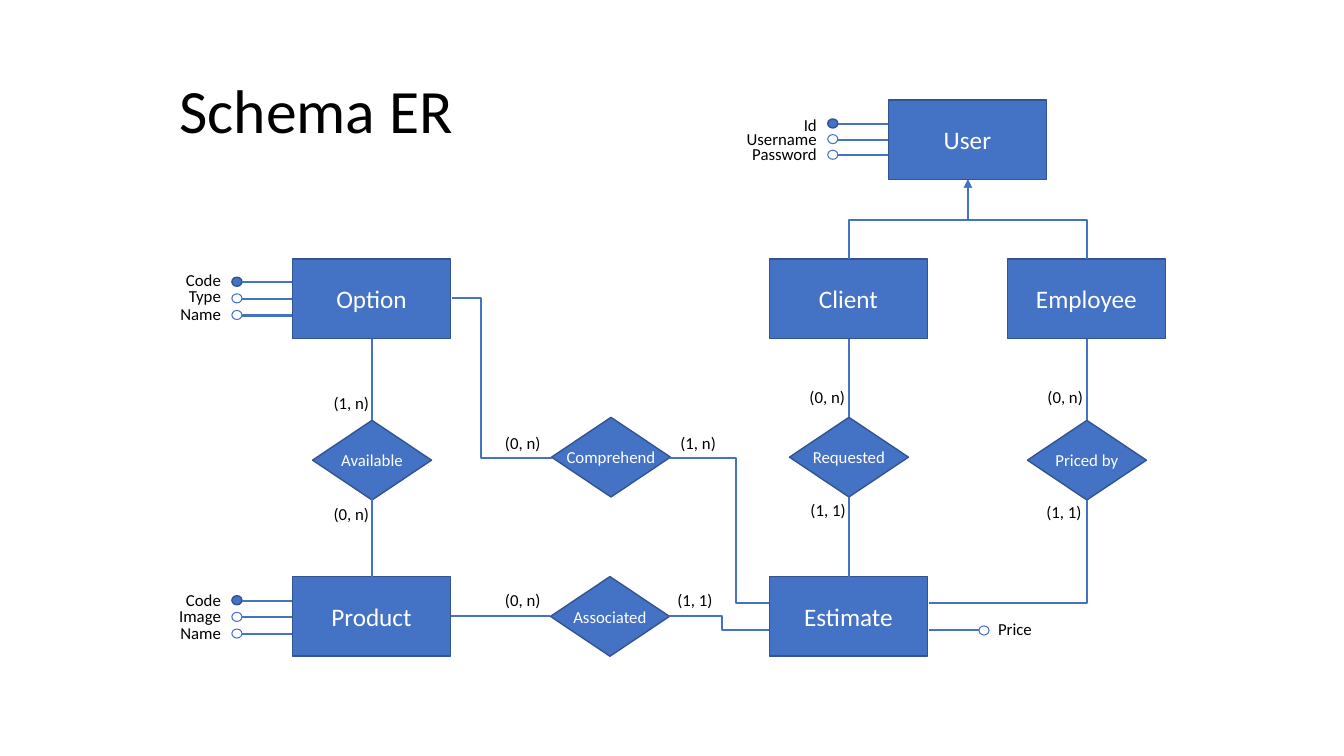
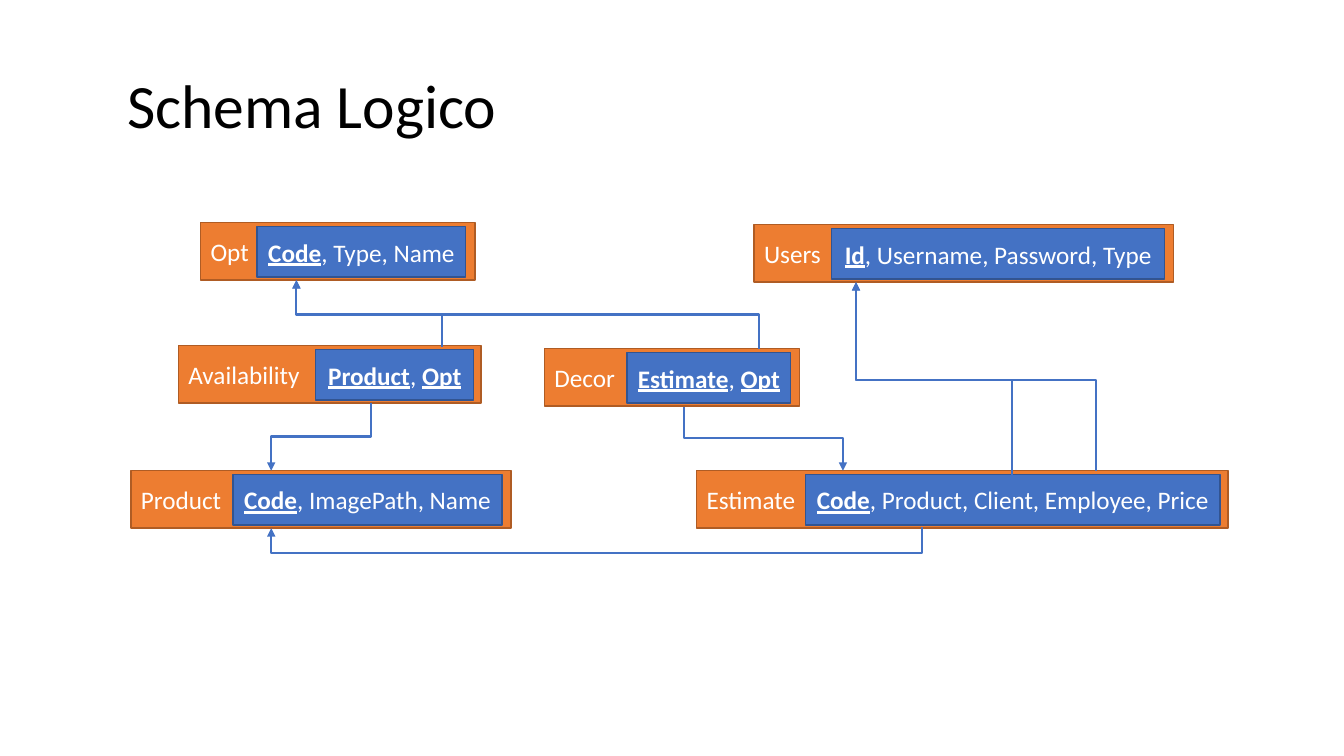
from lxml.etree import SubElement
from pptx import Presentation
from pptx.dml.color import RGBColor
from pptx.enum.shapes import MSO_CONNECTOR, MSO_SHAPE
from pptx.enum.text import MSO_ANCHOR, PP_ALIGN
from pptx.oxml.ns import qn
from pptx.util import Inches, Pt

COLOURS = {
    "blue": "4472C4",
    "blue edge": "325491",
    "orange": "ED7D31",
    "orange edge": "AF5C24",
    "white": "FFFFFF",
    "black": "000000",
}
FONT = "Calibri"


def add_box(page, preset, bounds, runs=(), fill="blue", edge="blue edge",
            edge_width=1, size=18, align=PP_ALIGN.CENTER):
    """Add a filled shape, or a plain text box if preset is None; runs are (text, is_key) pairs."""
    place = [Inches(length) for length in bounds]
    if preset is None:
        box = page.shapes.add_textbox(*place)
    else:
        box = page.shapes.add_shape(preset, *place)
        box.shadow.inherit = False
        box.fill.solid()
        box.fill.fore_color.rgb = RGBColor.from_string(COLOURS[fill])
        box.line.color.rgb = RGBColor.from_string(COLOURS[edge])
        box.line.width = Pt(edge_width)
    frame = box.text_frame
    frame.word_wrap = preset != MSO_SHAPE.DIAMOND
    frame.vertical_anchor = MSO_ANCHOR.TOP if preset is None else MSO_ANCHOR.MIDDLE
    if preset == MSO_SHAPE.DIAMOND:
        frame.margin_left = frame.margin_right = 0
    para = frame.paragraphs[0]
    para.alignment = align
    for text, is_key in runs:
        span = para.add_run()
        span.text = text
        span.font.name = FONT
        span.font.size = Pt(size)
        span.font.bold = span.font.underline = is_key
        text_colour = "black" if preset is None else "white"
        span.font.color.rgb = RGBColor.from_string(COLOURS[text_colour])


def connect(page, start, end, axis=None, middle=None, arrow=False):
    """Join two points: straight, or bent along axis x or y with its middle leg at that coordinate."""
    (left, top), (right, bottom) = start, end
    kind = MSO_CONNECTOR.ELBOW if axis else MSO_CONNECTOR.STRAIGHT
    across, down = right - left, bottom - top
    turn = 1 if across * down < 0 else -1
    if axis == "y":
        centre_x, centre_y = (left + right) / 2, (top + bottom) / 2
        half_x, half_y = turn * down / 2, turn * across / 2
        left, right = centre_x - half_x, centre_x + half_x
        top, bottom = centre_y + half_y, centre_y - half_y
    line = page.shapes.add_connector(
        kind, Inches(left), Inches(top), Inches(right), Inches(bottom))
    line.line.color.rgb = RGBColor.from_string(COLOURS["blue"])
    line.line.width = Pt(1.5)
    properties = line._element.spPr
    if axis == "y":
        properties.find(qn("a:xfrm")).set("rot", str(5400000 if turn == 1 else 16200000))
    geometry = properties.find(qn("a:prstGeom"))
    if axis and middle is None:
        geometry.set("prst", "bentConnector2")
    elif axis:
        share = (middle - start[0]) / across if axis == "x" else (middle - start[1]) / down
        SubElement(geometry.find(qn("a:avLst")), qn("a:gd"),
                   name="adj1", fmla=f"val {round(share * 100000)}")
    if arrow:
        SubElement(properties.find(qn("a:ln")), qn("a:tailEnd"), type="triangle")
    SubElement(properties, qn("a:effectLst"))


deck = Presentation()
deck.slide_width, deck.slide_height = Inches(13.33), Inches(7.5)
pages = []
for title_text, bounds in [
    ("Schema ER", (1.68, 0.4, 5.25, 1.45)),
    ("Schema Logico", (1.16, 0.35, 11.5, 1.45)),
]:
    page = deck.slides.add_slide(deck.slide_layouts[5])
    title = page.shapes.title
    title.left, title.top, title.width, title.height = [Inches(length) for length in bounds]
    title.text_frame.vertical_anchor = MSO_ANCHOR.MIDDLE
    para = title.text_frame.paragraphs[0]
    para.alignment = PP_ALIGN.LEFT
    para.line_spacing = 0.9
    span = para.add_run()
    span.text = title_text
    span.font.name = FONT
    span.font.size = Pt(44)
    span.font.color.rgb = RGBColor.from_string(COLOURS["black"])
    pages.append(page)
er_page, logical_page = pages

# Entities and relationships
for name, left, top in [
    ("Employee", 9.99, 2.57), ("Client", 7.63, 2.57), ("User", 8.81, 0.99),
    ("Product", 2.9, 5.72), ("Option", 2.9, 2.57), ("Estimate", 7.63, 5.72),
]:
    add_box(er_page, MSO_SHAPE.RECTANGLE, (left, top, 1.57, 0.79), [(name, False)])

for name, left, top in [
    ("Available", 3.1, 4.17), ("Comprehend", 5.47, 4.14), ("Requested", 7.83, 4.14),
    ("Priced by", 10.19, 4.17), ("Associated", 5.46, 5.72),
]:
    add_box(er_page, MSO_SHAPE.DIAMOND, (left, top, 1.18, 0.79), [(name, False)], size=12)

for start, end in [
    ((3.69, 3.36), (3.69, 4.17)), ((3.69, 4.95), (3.69, 5.72)),
    ((4.47, 6.11), (5.46, 6.11)), ((8.42, 3.36), (8.42, 4.14)),
    ((8.42, 4.93), (8.42, 5.72)), ((10.78, 3.36), (10.78, 4.17)),
]:
    connect(er_page, start, end)

for start, end, middle in [
    ((4.48, 2.96), (5.47, 4.54), 4.77),
    ((6.65, 4.54), (7.63, 5.98), 7.3),
    ((6.64, 6.11), (7.63, 6.25), 7.16),
]:
    connect(er_page, start, end, "x", middle)
connect(er_page, (10.78, 4.96), (9.21, 5.98), "y")
for child_x in (8.42, 10.78):
    connect(er_page, (child_x, 2.57), (9.6, 1.78), "y", 2.18, arrow=True)

# Attributes: the first of each entity is its key, drawn as a solid dot
for names, entity_x, first_y, step, label_tops in [
    (("Id", "Username", "Password"), 8.81, 1.23, 0.155, (1.09, 1.23, 1.38)),
    (("Code", "Type", "Name"), 2.9, 2.8, 0.165, (2.63, 2.79, 2.96)),
    (("Code", "Image", "Name"), 2.9, 5.96, 0.165, (5.8, 5.96, 6.13)),
]:
    for index, (name, label_top) in enumerate(zip(names, label_tops)):
        y = first_y + index * step
        is_key = index == 0
        add_box(er_page, MSO_SHAPE.OVAL, (entity_x - 0.6, y - 0.05, 0.1, 0.09),
                fill="blue" if is_key else "white",
                edge="blue edge" if is_key else "blue",
                edge_width=1 if is_key else 0.75)
        connect(er_page, (entity_x - 0.5, y), (entity_x, y))
        add_box(er_page, None, (entity_x - 1.61, label_top, 1, 0.3), [(name, False)],
                size=12, align=PP_ALIGN.RIGHT)
add_box(er_page, MSO_SHAPE.OVAL, (9.71, 6.21, 0.1, 0.09), fill="white",
        edge="blue", edge_width=0.75)
connect(er_page, (9.21, 6.25), (9.71, 6.25))

for text, left, top in [
    ("Price", 9.8, 6.09),
    ("(0, n)", 7.93, 3.79), ("(0, n)", 10.29, 3.79), ("(0, n)", 4.91, 4.24),
    ("(0, n)", 4.91, 5.8), ("(0, n)", 3.21, 4.95), ("(1, n)", 3.21, 3.85),
    ("(1, n)", 6.65, 4.24), ("(1, 1)", 6.62, 5.8), ("(1, 1)", 7.94, 4.91),
    ("(1, 1)", 10.28, 4.93),
]:
    add_box(er_page, None, (left, top, 0.65, 0.3), [(text, False)],
            size=12, align=PP_ALIGN.LEFT)

# Tables of the logical schema: an orange name bar with its blue field list
for name, left, top, width, fields_left, fields_width, fields in [
    ("Opt", 1.99, 2.21, 2.72, 2.55, 2.07, [("Code", True), (", Type, Name", False)]),
    ("Availability", 1.77, 3.43, 3, 3.13, 1.57,
     [("Product", True), (", ", False), ("Opt", True)]),
    ("Product", 1.3, 4.67, 3.77, 2.31, 2.67,
     [("Code", True), (", ImagePath, Name", False)]),
    ("Decor", 5.4, 3.46, 2.53, 6.22, 1.62,
     [("Estimate", True), (", ", False), ("Opt", True)]),
    ("Estimate", 6.91, 4.67, 5.27, 7.99, 4.11,
     [("Code", True), (", Product, Client, Employee, Price", False)]),
    ("Users", 7.48, 2.23, 4.16, 8.25, 3.3,
     [("Id", True), (", Username, Password, Type", False)]),
]:
    add_box(logical_page, MSO_SHAPE.RECTANGLE, (left, top, width, 0.57), [(name, False)],
            fill="orange", edge="orange edge", align=PP_ALIGN.LEFT)
    add_box(logical_page, MSO_SHAPE.RECTANGLE, (fields_left, top + 0.04, fields_width, 0.5),
            fields)

# Foreign keys
for start, end, middle in [
    ((10.04, 4.71), (8.49, 2.8), 3.77),
    ((10.87, 4.67), (8.49, 2.8), 3.77),
    ((9.14, 5.23), (2.69, 5.24), 5.49),
    ((3.68, 4), (2.69, 4.67), 4.33),
    ((7.53, 3.46), (2.94, 2.78), 3.12),
    ((4.38, 3.44), (2.94, 2.78), 3.12),
    ((6.78, 4.04), (8.36, 4.67), 4.35),
]:
    connect(logical_page, start, end, "y", middle, arrow=True)

deck.save("out.pptx")
